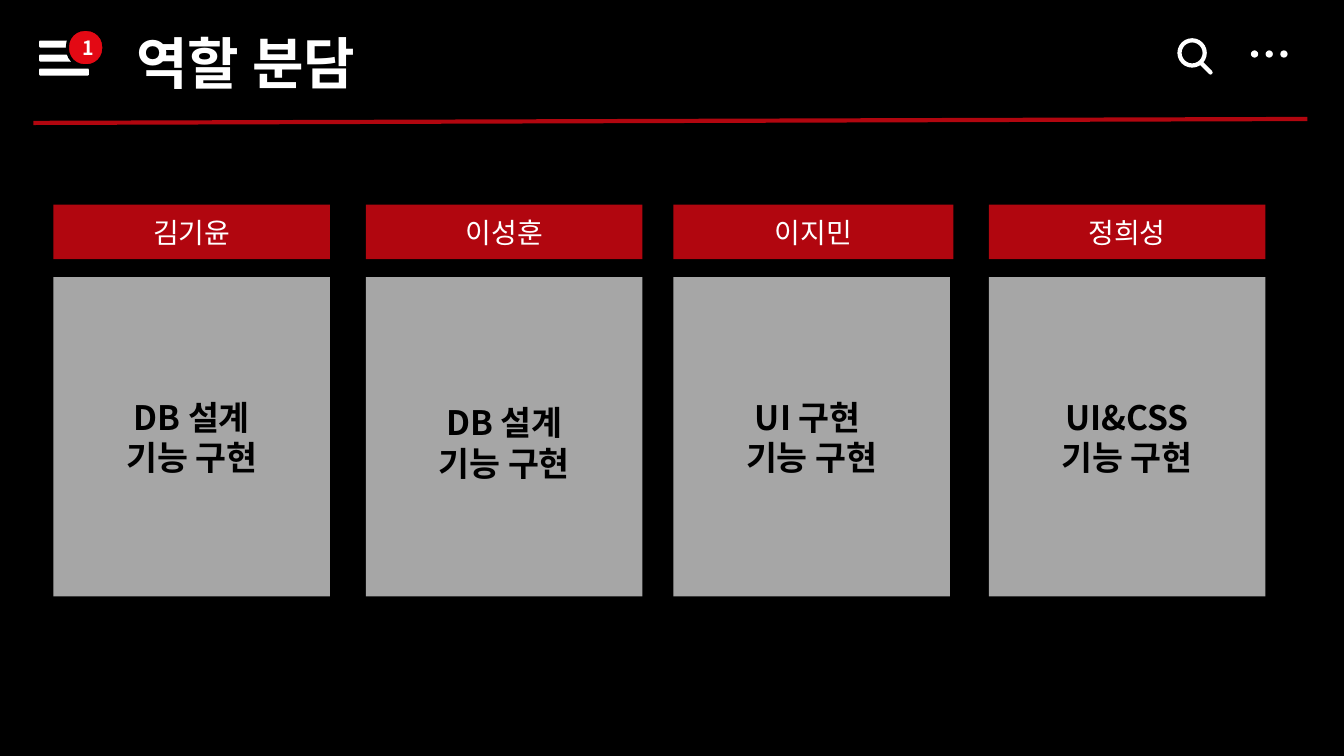
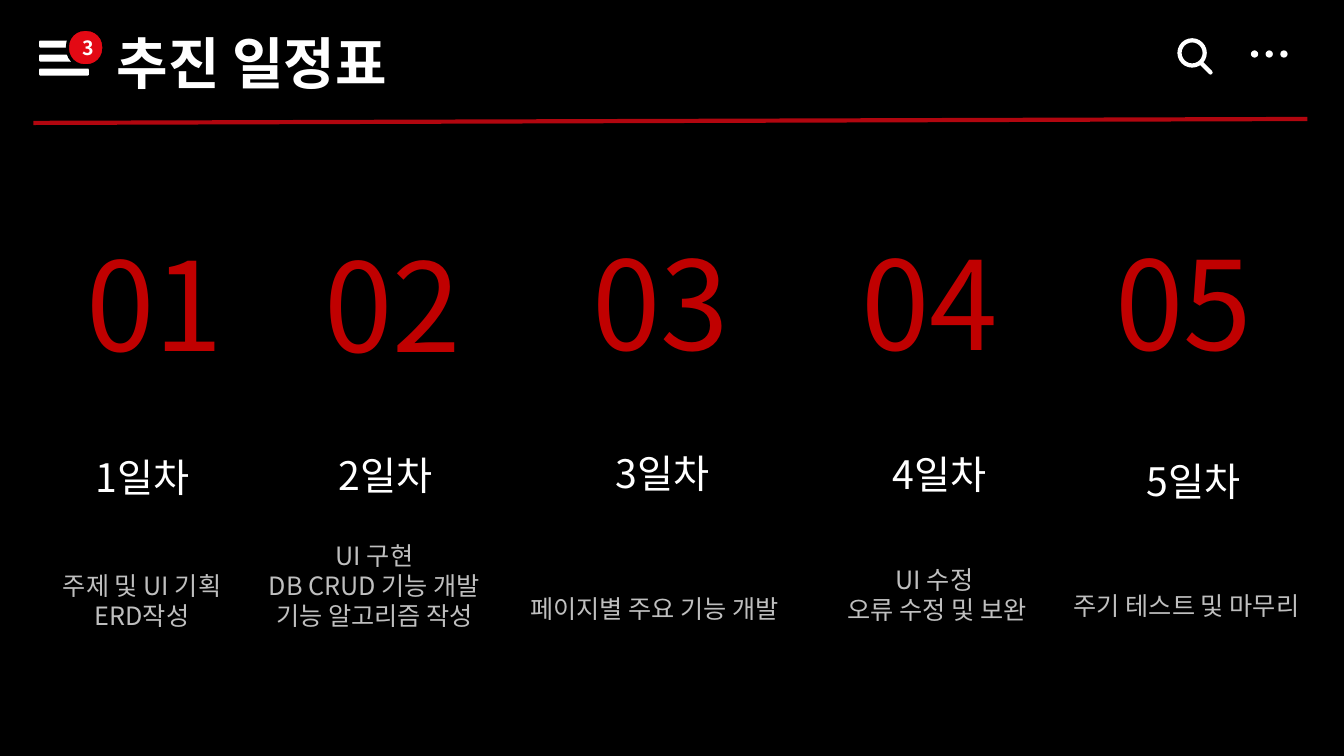
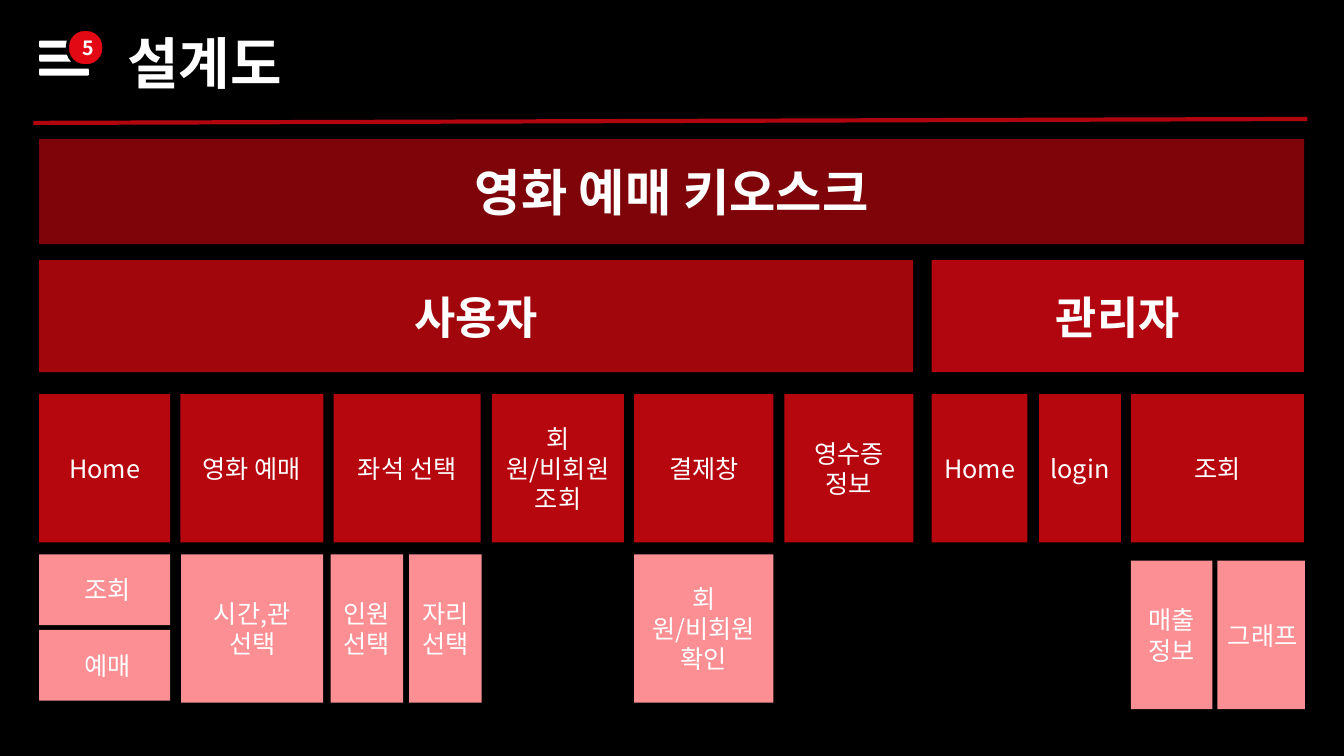
"""Build three slides on a cinema kiosk project: roles, schedule and design."""
from lxml.etree import SubElement
from pptx import Presentation
from pptx.dml.color import RGBColor
from pptx.enum.shapes import MSO_CONNECTOR, MSO_SHAPE
from pptx.enum.text import MSO_ANCHOR, MSO_AUTO_SIZE, PP_ALIGN
from pptx.oxml.ns import qn
from pptx.util import Pt

FONT = "Noto Sans CJK KR"
HEX = {
    "black": "000000", "white": "FFFFFF", "badge": "E30914", "red": "B1060F",
    "card": "A6A6A6", "number": "C00000", "note": "BFBFBF", "root": "7E040A",
    "user": "A2060D", "page": "B6060E", "part": "FB8F94",
}


def color(name):
    """Return the named colour."""
    return RGBColor.from_string(HEX[name])


def write(frame, text, size, tint="white", bold=False, align=PP_ALIGN.CENTER):
    """Fill a text frame with one paragraph per line of text."""
    frame.word_wrap = True
    frame.text = text
    for para in frame.paragraphs:
        para.alignment = align
        font = para.font
        font.size, font.bold, font.name = Pt(size), bold, FONT
        font.color.rgb = color(tint)
        SubElement(font._rPr, qn("a:ea")).set("typeface", FONT)


def shape(shapes, kind, area, fill=None, line=None, width=0):
    """Add a flat preset shape."""
    item = shapes.add_shape(kind, *map(Pt, area))
    item.shadow.inherit = False
    if fill:
        item.fill.solid()
        item.fill.fore_color.rgb = color(fill)
    else:
        item.fill.background()
    if line:
        item.line.color.rgb = color(line)
        item.line.width = Pt(width)
    else:
        item.line.fill.background()
    return item


def box(slide, area, fill, text, size, **style):
    """Add a filled rectangle with centred text."""
    item = shape(slide.shapes, MSO_SHAPE.RECTANGLE, area, fill)
    item.text_frame.vertical_anchor = MSO_ANCHOR.MIDDLE
    write(item.text_frame, text, size, **style)
    return item.text_frame


def label(slide, area, text, size, **style):
    """Add free text."""
    item = slide.shapes.add_textbox(*map(Pt, area))
    write(item.text_frame, text, size, **style)


def stroke(shapes, ends, tint):
    """Add a straight line three points wide."""
    item = shapes.add_connector(MSO_CONNECTOR.STRAIGHT, *map(Pt, ends))
    item.line.color.rgb = color(tint)
    item.line.width = Pt(3)
    SubElement(item._element.spPr, qn("a:effectLst"))
    return item


def tools(slide):
    """Draw the search and more icons."""
    lens = slide.shapes.add_group_shape().shapes
    shape(lens, MSO_SHAPE.OVAL, (842.5, 28.8, 18, 18), None, "white", 3)
    grip = stroke(lens, (857.5, 44.6, 864.7, 51.8), "white")
    grip.line._ln.set("cap", "rnd")
    more = slide.shapes.add_group_shape().shapes
    for step in range(3):
        left = 893.5 + 10.5 * step
        shape(more, MSO_SHAPE.OVAL, (left, 36, 5.2, 5.2), "white")


def page(deck, title, left, number):
    """Add a slide with title, menu icon, badge and red rule."""
    slide = deck.slides.add_slide(deck.slide_layouts[5])
    head = slide.shapes.title
    head.left, head.top, head.width, head.height = map(Pt, (left, 16.5, 480, 55.5))
    frame = head.text_frame
    frame.auto_size = MSO_AUTO_SIZE.NONE
    frame.vertical_anchor = MSO_ANCHOR.TOP
    frame.margin_left = 0
    write(frame, title, 40, bold=True, align=PP_ALIGN.LEFT)
    menu = slide.shapes.add_group_shape().shapes
    for step in range(3):
        shape(menu, MSO_SHAPE.ROUNDED_RECTANGLE, (28, 29 + 10 * step, 35.5, 5), "white")
    badge = shape(slide.shapes, MSO_SHAPE.ROUNDED_RECTANGLE,
                  (48.2, 21, 26, 26), "badge", "black", 2.25)
    badge.adjustments[0] = 0.47
    badge.text_frame.vertical_anchor = MSO_ANCHOR.MIDDLE
    write(badge.text_frame, number, 14, bold=True)
    stroke(slide.shapes, (23.8, 87.8, 933.8, 85), "red")
    return slide


def roles(deck):
    """Show who does what."""
    slide = page(deck, "역할 분담", 97.5, "1")
    tools(slide)
    team = [
        (38.2, 197.5, "김기윤", "DB 설계", 0),
        (261.4, 197.5, "이성훈", "DB 설계", 8),
        (481, 200, "이지민", "UI 구현 ", 0),
        (706.3, 197.5, "정희성", "UI&CSS", 0),
    ]
    for left, width, name, task, drop in team:
        box(slide, (left, 146.2, width, 39), "red", name, 20)
        frame = box(slide, (left, 198, 197.5, 228), "card", task + "\n기능 구현", 24,
                    tint="black", bold=True)
        frame.margin_top = Pt(3.6 + drop)


def plan(deck):
    """Show the five-day schedule."""
    slide = page(deck, "추진 일정표", 83.5, "3")
    tools(slide)
    days = [
        (54.7, 159.8, 61.2, 320.4, 101.5, 404, "주제 및 UI 기획\nERD작성"),
        (224.6, 160.6, 234.7, 319, 267.5, 382.3,
         "UI 구현\nDB CRUD 기능 개발\n기능 알고리즘 작성"),
        (416.2, 159.1, 432.7, 317.5, 467.5, 420.5, "페이지별 주요 기능 개발"),
        (608.4, 159.1, 630.7, 318.2, 669.6, 399.6, "UI 수정 \n오류 수정 및 보완"),
        (789.8, 159.1, 812.2, 323.3, 847.5, 418.3, "주기 테스트 및 마무리"),
    ]
    for day, (left, top, dayx, dayy, mid, low, note) in enumerate(days, 1):
        label(slide, (left, top, 125, 114), f"{day:02}", 88,
              tint="number", align=PP_ALIGN.LEFT)
        label(slide, (dayx, dayy, 130, 41), f"{day}일차", 28, align=PP_ALIGN.LEFT)
        high = 7.2 + 21.8 * len(note.split("\n"))
        label(slide, (mid - 101, low, 202, high), note, 18, tint="note")


def design(deck):
    """Show the tree of kiosk pages."""
    slide = page(deck, "설계도", 91, "5")
    box(slide, (28, 99.4, 903.5, 75), "root", "영화 예매 키오스크", 36, bold=True)
    box(slide, (28, 185.8, 624.3, 80), "user", "사용자", 32, bold=True)
    box(slide, (665.5, 185.8, 266, 80), "red", "관리자", 32, bold=True)
    pages = [
        (28, 93.6, "Home"), (128.9, 102.2, "영화 예매"), (238.3, 105.1, "좌석 선택"),
        (351.4, 94.3, "회원/비회원조회"), (453, 99.4, "결제창"),
        (560.2, 92.2, "영수증\n정보"), (665.5, 68.4, "Home"),
        (742.3, 58.3, "login"), (807.8, 123.5, "조회"),
    ]
    for left, width, text in pages:
        box(slide, (left, 281.5, width, 106), "page", text, 18)
    parts = [
        (28, 396, 93.6, 50.5, " 조회"), (28, 450, 93.6, 50.5, " 예매"),
        (129.4, 396, 101.5, 106, "시간,관 선택"),
        (236.2, 396, 51.8, 106, "인원 선택"), (292.3, 396, 51.8, 106, "자리 선택"),
        (453, 396, 99.4, 106, "회원/비회원 확인"),
        (807.8, 400.5, 58.3, 106, "매출 정보"), (869.6, 400.5, 62.6, 106, "그래프"),
    ]
    for *area, text in parts:
        frame = box(slide, area, "part", text, 18)
    frame.margin_left, frame.margin_right = Pt(4), Pt(2)


def main():
    """Build and save the deck."""
    deck = Presentation()
    deck.slide_width, deck.slide_height = Pt(960), Pt(540)
    ground = deck.slide_master.background.fill
    ground.solid()
    ground.fore_color.rgb = color("black")
    for build in (roles, plan, design):
        build(deck)
    deck.save("out.pptx")


if __name__ == "__main__":
    main()
